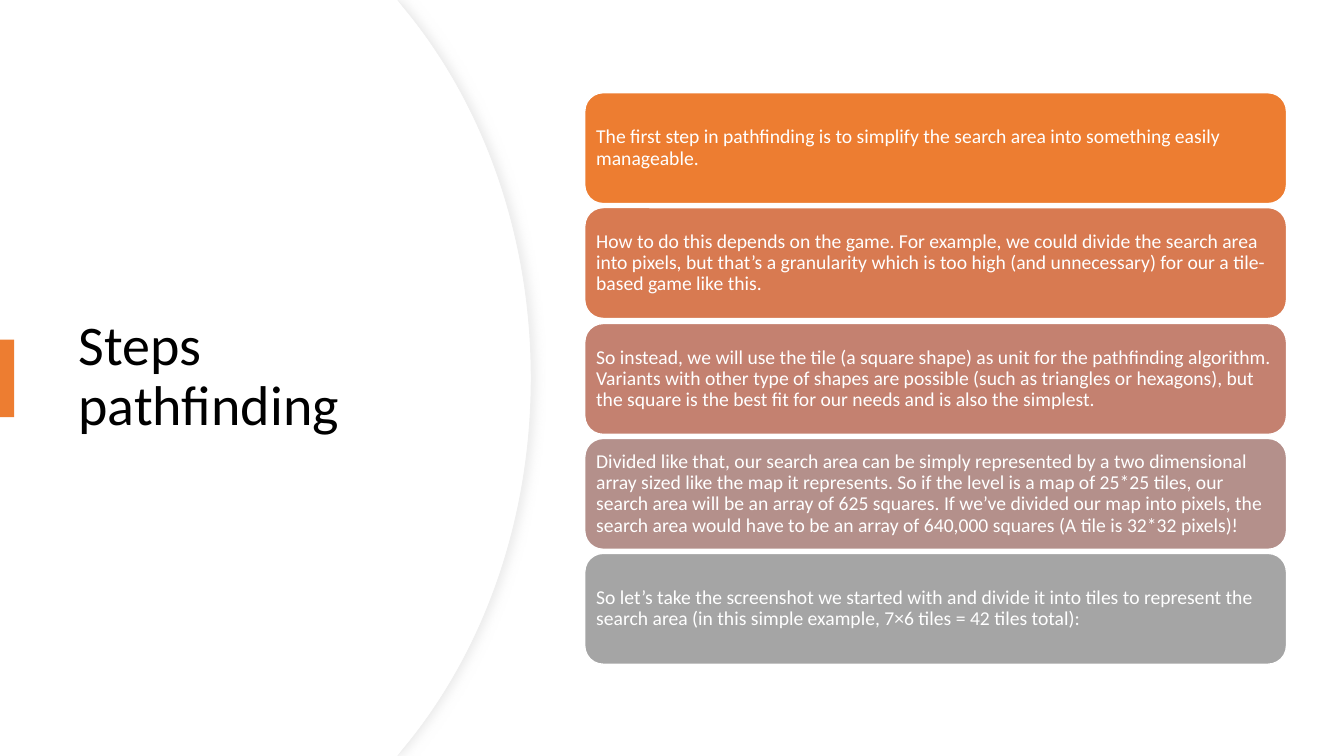
from dataclasses import dataclass

from lxml.etree import SubElement as sub_el
from pptx import Presentation
from pptx.dml.color import RGBColor as Rgb
from pptx.enum.shapes import MSO_SHAPE as Kind
from pptx.enum.text import MSO_ANCHOR as Anchor, PP_ALIGN as Align
from pptx.oxml.ns import qn
from pptx.util import Pt

SCALE = 9144  # EMU in one px, 100 px to the inch


@dataclass(frozen=True)
class Theme:
    font: str = "Calibri"
    head: int = 40
    body: int = 14
    white: str = "FFFFFF"
    black: str = "000000"
    edge: str = "EFEFEF"
    shade: str = "D9D9D9"
    accent: str = "ED7D31"
    cards: tuple = ("ED7D31", "D87A51", "C48170", "B4908B", "A5A5A5")


THEME = Theme()

STEPS = (
    "The first step in pathfinding is to simplify the search area into "
    "something easily manageable.",
    "How to do this depends on the game. For example, we could divide the "
    "search area into pixels, but that’s a granularity which is too high "
    "(and unnecessary) for our a tile-based game like this.",
    "So instead, we will use the tile (a square shape) as unit for the "
    "pathfinding algorithm. Variants with other type of shapes are possible "
    "(such as triangles or hexagons), but the square is the best fit for our "
    "needs and is also the simplest.",
    "Divided like that, our search area can be simply represented by a two "
    "dimensional array sized like the map it represents. So if the level is "
    "a map of 25*25 tiles, our search area will be an array of 625 squares. "
    "If we’ve divided our map into pixels, the search area would have to be "
    "an array of 640,000 squares (A tile is 32*32 pixels)!",
    "So let’s take the screenshot we started with and divide it into tiles "
    "to represent the search area (in this simple example, 7×6 tiles = 42 "
    "tiles total):",
)


def px(*vals):
    return [round(val) * SCALE for val in vals]


def paint(shape, fill, line=None, width=1):
    shape.shadow.inherit = False
    shape.fill.solid()
    shape.fill.fore_color.rgb = Rgb.from_string(fill)
    if line:
        shape.line.color.rgb = Rgb.from_string(line)
        shape.line.width = Pt(width)
    else:
        shape.line.fill.background()


def write(shape, text, size, color, inset):
    frame = shape.text_frame
    frame.text = text
    frame.word_wrap = True
    frame.vertical_anchor = Anchor.MIDDLE
    frame.margin_left, frame.margin_right = px(inset, inset)
    frame.margin_top, frame.margin_bottom = px(inset, inset)
    para = frame.paragraphs[0]
    para.alignment = Align.LEFT
    para.line_spacing = 0.9
    font = para.runs[0].font
    font.name, font.size = THEME.font, Pt(size)
    font.color.rgb = Rgb.from_string(color)


def bend(shape, first):
    """Turn three straight steps, from index first, into one cubic curve."""
    steps = list(shape.element.iter(qn("a:lnTo")))[first:first + 3]
    cubic = steps[0].makeelement(qn("a:cubicBezTo"))
    steps[0].addprevious(cubic)
    for step in steps:
        cubic.append(step[0])
        step.getparent().remove(step)


def add_panel(slide, right, line=None):
    """White panel with a bulging right side, mirrored top to bottom."""
    upper = [(394, 0), (right - 126, 8), (right - 48, 102), (right, 232)]
    lower = [(x, 750 - y) for x, y in reversed(upper)]
    form = slide.shapes.build_freeform(0, 0, scale=SCALE)
    form.add_line_segments(upper + [(right, 375)] + lower + [(0, 750)])
    panel = form.convert_to_shape()
    for first in (5, 2):  # later curve first, so the indices hold
        bend(panel, first)
    paint(panel, THEME.white, line, 0.75)
    return panel


def add_shade(shape):
    effect = shape.element.spPr.find(qn("a:effectLst"))
    outer = sub_el(effect, qn("a:outerShdw"), blurRad=str(Pt(7)),
                   dist=str(Pt(3)), dir="0", algn="l", rotWithShape="0")
    color = sub_el(outer, qn("a:srgbClr"), val=THEME.shade)
    sub_el(color, qn("a:alpha"), val="50000")


def add_title(slide, text):
    box = slide.shapes.add_textbox(*px(68, 127, 394, 495))
    write(box, text, THEME.head, THEME.black, 10)


def add_bar(slide):
    bar = slide.shapes.add_shape(Kind.RECTANGLE, *px(0, 337, 14, 77))
    paint(bar, THEME.accent)


def add_card(slide, top, text, fill):
    card = slide.shapes.add_shape(
        Kind.ROUNDED_RECTANGLE, *px(580, top, 696, 110))
    paint(card, fill, THEME.white)
    write(card, text, THEME.body, THEME.white, 6)


def main():
    deck = Presentation()
    deck.slide_width, deck.slide_height = px(1333, 750)
    slide = deck.slides.add_slide(deck.slide_layouts[6])

    # Left side: curved panels, title and accent bar
    add_shade(add_panel(slide, 527, THEME.edge))
    add_panel(slide, 526)
    add_title(slide, "Steps pathfinding")
    add_bar(slide)

    # Right side: one card for each step
    for row, (text, fill) in enumerate(zip(STEPS, THEME.cards)):
        add_card(slide, 92 + 114.3 * row, text, fill)

    deck.save("out.pptx")


if __name__ == "__main__":
    main()
